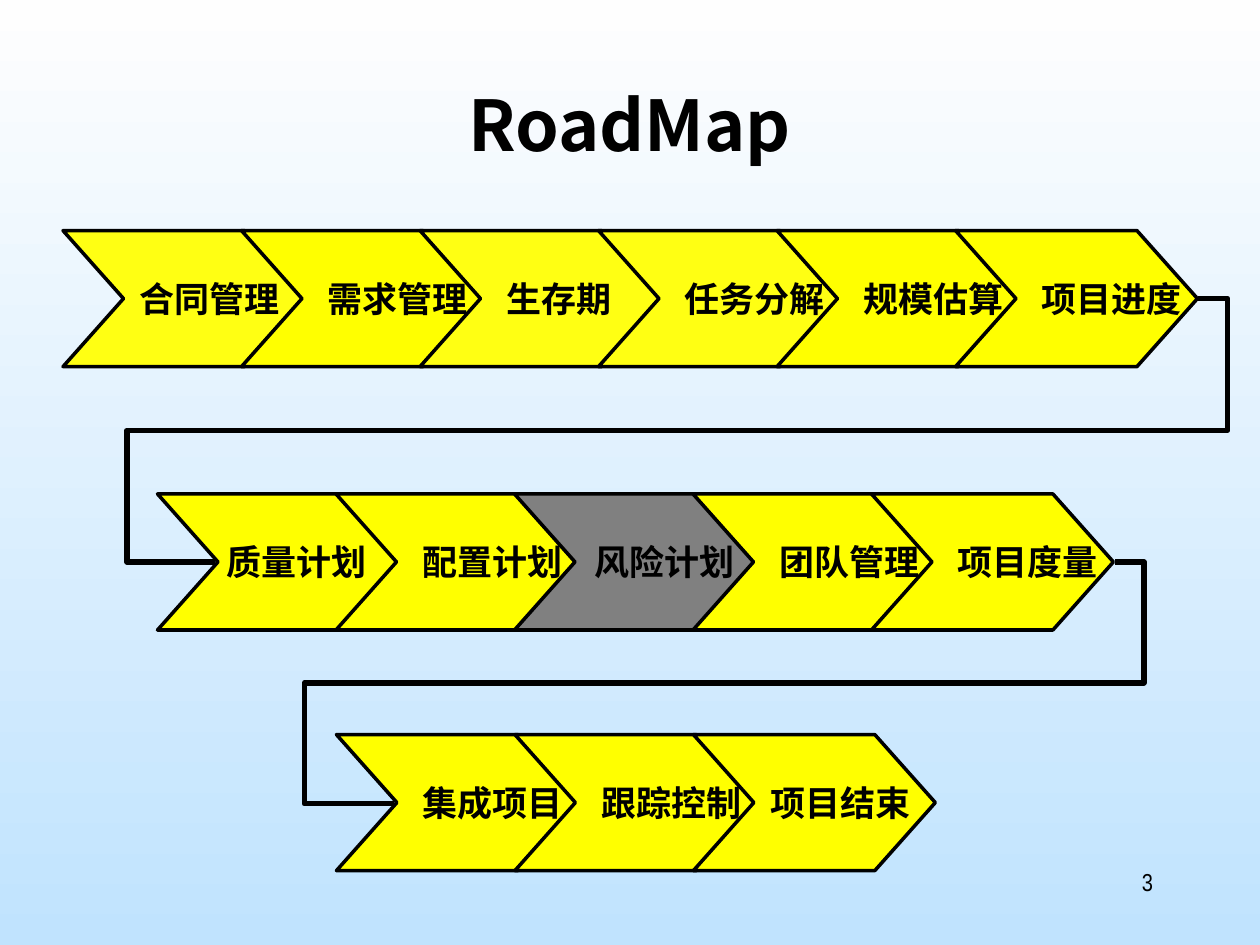
from lxml import etree
from pptx import Presentation
from pptx.dml.color import RGBColor
from pptx.enum.shapes import MSO_CONNECTOR
from pptx.enum.text import MSO_ANCHOR, PP_ALIGN
from pptx.oxml.ns import qn
from pptx.util import Inches, Pt

CENTER = PP_ALIGN.CENTER
RIGHT = PP_ALIGN.RIGHT
MIDDLE = MSO_ANCHOR.MIDDLE
ELBOW = MSO_CONNECTOR.ELBOW

BLACK = RGBColor(0x00, 0x00, 0x00)
YELLOW = RGBColor(0xFF, 0xFF, 0x00)
PALE_YELLOW = RGBColor(0xFF, 0xFF, 0x13)
GRAY = RGBColor(0x80, 0x80, 0x80)
SKY_TOP = RGBColor(0xFE, 0xFE, 0xFE)
SKY_BOTTOM = RGBColor(0xC0, 0xE3, 0xFE)

BODY_FONT = "Arial Narrow"
CHINESE_FONT = "Noto Sans CJK SC"

STEP_WIDTH = 1.92
STEP_HEIGHT = 1.08
STEP_POINT = 0.48
STEP_PITCH = 8.5 / 6

ROWS = [
    (0.5, 1.83, [
        ("合同管理", PALE_YELLOW, 0.2),
        ("需求管理", YELLOW, 0.28),
        ("生存期", PALE_YELLOW, 0.14),
        ("任务分解", PALE_YELLOW, 0.28),
        ("规模估算", YELLOW, 0.28),
        ("项目进度", YELLOW, 0.28),
    ]),
    (1.25, 3.92, [
        ("质量计划", YELLOW, 0.14),
        ("配置计划", YELLOW, 0.28),
        ("风险计划", GRAY, 0.23),
        ("团队管理", YELLOW, 0.28),
        ("项目度量", YELLOW, 0.28),
    ]),
    (2.67, 5.83, [
        ("集成项目", YELLOW, 0.28),
        ("跟踪控制", YELLOW, 0.28),
        ("项目结束", YELLOW, 0.21),
    ]),
]


def write_text(shape, text, size=20, bold=False, font=BODY_FONT, align=CENTER,
               spacing=1.0):
    paragraph = shape.text_frame.paragraphs[0]
    paragraph.alignment = align
    paragraph.line_spacing = spacing
    run = paragraph.add_run()
    run.text = text
    run.font.size = Pt(size)
    run.font.bold = bold
    run.font.name = font
    run.font.color.rgb = BLACK
    for properties in shape.element.iter(qn("a:rPr")):
        etree.SubElement(properties, qn("a:ea"), typeface=CHINESE_FONT)


class RoadMap:
    def __init__(self, slide):
        self.slide = slide
        self.outline = Pt(2)
        self.link_width = Pt(3)

    def background(self, top, bottom):
        fill = self.slide.background.fill
        fill.gradient()
        fill.gradient_angle = 270
        for stop, color, position in zip(fill.gradient_stops, (top, bottom), (0, 1)):
            stop.color.rgb = color
            stop.position = position

    def label(self, text, left, top, width, height, **style):
        shape = self.slide.shapes.add_textbox(
            Inches(left), Inches(top), Inches(width), Inches(height))
        shape.text_frame.word_wrap = True
        write_text(shape, text, **style)

    def step(self, text, left, top, color, shift):
        right = left + STEP_WIDTH
        bottom = top + STEP_HEIGHT
        middle = top + STEP_HEIGHT / 2
        shoulder = right - STEP_POINT
        corners = [(shoulder, top), (right, middle), (shoulder, bottom),
                   (left, bottom), (left + STEP_POINT, middle)]
        builder = self.slide.shapes.build_freeform(Inches(left), Inches(top))
        builder.add_line_segments([(Inches(x), Inches(y)) for x, y in corners])
        shape = builder.convert_to_shape()
        shape.shadow.inherit = False
        shape.fill.solid()
        shape.fill.fore_color.rgb = color
        shape.line.color.rgb = BLACK
        shape.line.width = self.outline
        frame = shape.text_frame
        frame.word_wrap = False
        frame.vertical_anchor = MIDDLE
        frame.margin_left = Inches(0.1 + 2 * shift)
        write_text(shape, text, bold=True)

    def row(self, left, top, steps):
        for index, (text, color, shift) in enumerate(steps):
            self.step(text, left + index * STEP_PITCH, top, color, shift)

    def link(self, start, end, bends):
        connector = self.slide.shapes.add_connector(
            ELBOW, *(Inches(value) for value in start + end))
        connector.line.color.rgb = BLACK
        connector.line.width = self.link_width
        properties = connector.element.spPr
        etree.SubElement(properties, qn("a:effectLst"))
        geometry = properties.find(qn("a:prstGeom"))
        geometry.set("prst", "bentConnector5")
        guides = geometry.find(qn("a:avLst"))
        for number, bend in enumerate(bends, 1):
            etree.SubElement(guides, qn("a:gd"), name=f"adj{number}",
                             fmla=f"val {round(bend * 100000)}")


def main():
    presentation = Presentation()
    presentation.slide_width = Inches(10)
    presentation.slide_height = Inches(7.5)
    slide = presentation.slides.add_slide(presentation.slide_layouts[6])
    road_map = RoadMap(slide)
    road_map.background(SKY_TOP, SKY_BOTTOM)
    road_map.label("RoadMap", 0.75, 0.67, 8.5, 1.25, size=40, bold=True,
                   font=CHINESE_FONT, spacing=0.9)
    for left, top, steps in ROWS:
        road_map.row(left, top, steps)
    road_map.link((1.71, 4.46), (9.51, 2.37), (-0.09, 0.5, 1.03))
    road_map.link((8.85, 4.46), (3.13, 6.38), (-0.04, 0.5, 1.125))
    road_map.label("3", 7.17, 6.83, 2.08, 0.5, size=14, align=RIGHT)
    presentation.save("out.pptx")


if __name__ == "__main__":
    main()
